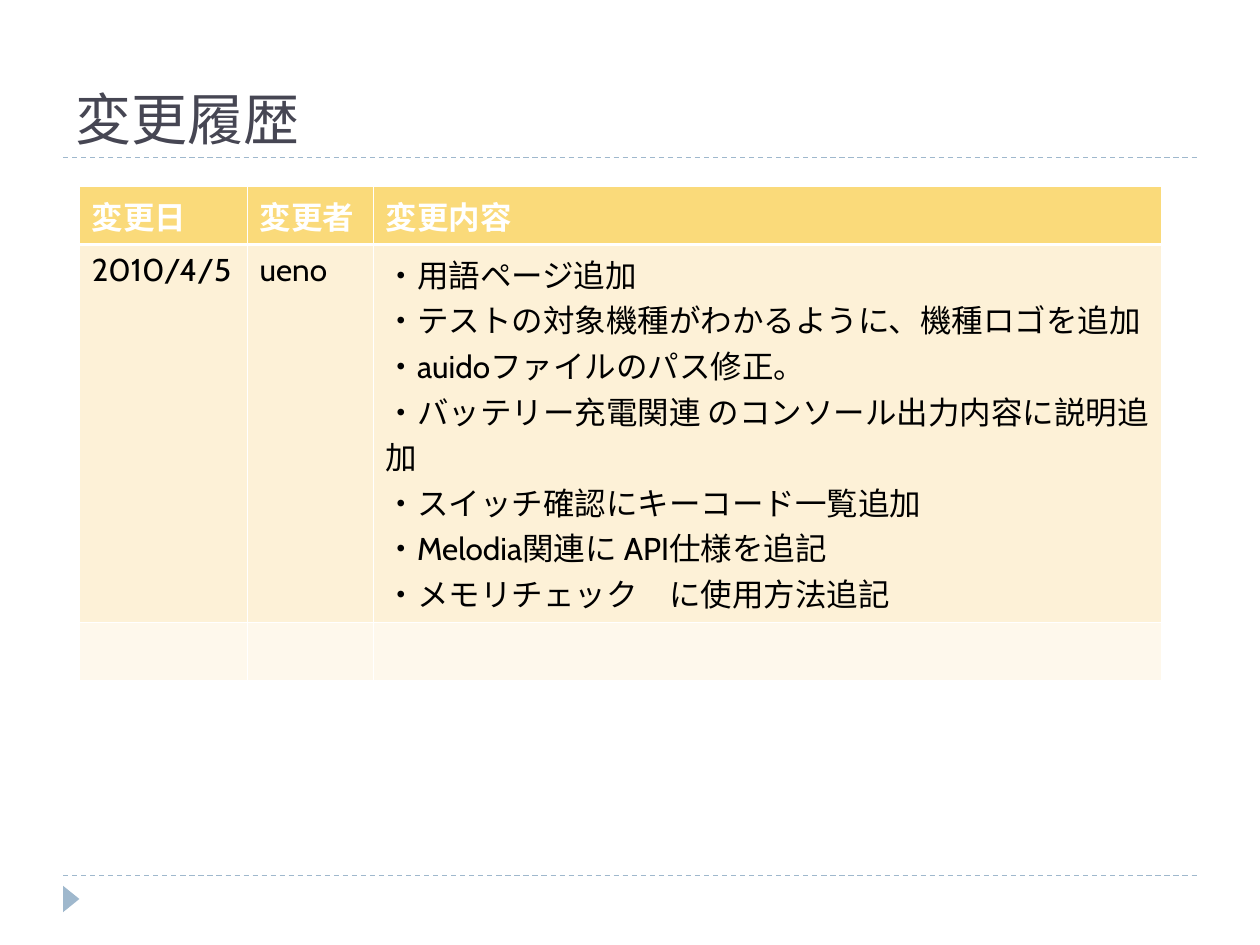
"""Build the change history slide."""
from dataclasses import dataclass

from lxml.etree import SubElement
from pptx import Presentation
from pptx.dml.color import RGBColor
from pptx.enum.dml import MSO_LINE_DASH_STYLE as Dash
from pptx.enum.shapes import MSO_CONNECTOR as Connector, MSO_SHAPE as Preset
from pptx.enum.text import MSO_ANCHOR as Anchor
from pptx.oxml.ns import qn
from pptx.util import Emu, Inches, Pt

WIDTH, HEIGHT = Inches(10), Inches(7.5)
COLUMNS, ROWS = 10, 7.5
ACCENT, INK, WHITE, BLACK = "9FB8CD", "464653", "FFFFFF", "000000"
TITLE_FONT, BODY_FONT = "TeX Gyre Bonum", "Cabin"
THIN, THICK = 0.45, 1.47


@dataclass(frozen=True)
class Area:
    """A box measured in grid columns and rows."""

    column: float
    row: float
    columns: float
    rows: float

    def lengths(self) -> tuple[Emu, Emu, Emu, Emu]:
        """Return left, top, width and height."""
        return across(self.column), down(self.row), across(self.columns), down(self.rows)


@dataclass(frozen=True)
class TextStyle:
    """The look of a run."""

    font: str
    size: float
    color: str
    bold: bool = False


@dataclass(frozen=True)
class HistoryRow:
    """One table row, with a list of lines for each cell."""

    height: float
    fill: str
    style: TextStyle
    cells: tuple[tuple[str, ...], ...]


HEADER = TextStyle(BODY_FONT, 18, WHITE, True)
BODY = TextStyle(BODY_FONT, 18, BLACK)
CHANGES = (
    "・用語ページ追加",
    "・テストの対象機種がわかるように、機種ロゴを追加",
    "・auidoファイルのパス修正。",
    "・バッテリー充電関連 のコンソール出力内容に説明追加",
    "・スイッチ確認にキーコード一覧追加",
    "・Melodia関連に API仕様を追記",
    "・メモリチェック　に使用方法追記",
)
HISTORY = (
    HistoryRow(0.46, "FADA7A", HEADER, (("変更日",), ("変更者",), ("変更内容",))),
    HistoryRow(3, "FDF1D7", BODY, (("2010/4/5",), ("ueno",), CHANGES)),
    HistoryRow(0.46, "FEF8EC", BODY, ((), (), ())),
)
TABLE_COLUMNS = (1.33, 1, 6.26)


def across(columns: float) -> Emu:
    """Turn grid columns into a length."""
    return Emu(round(WIDTH * columns / COLUMNS))


def down(rows: float) -> Emu:
    """Turn grid rows into a length."""
    return Emu(round(HEIGHT * rows / ROWS))


def color(value: str) -> RGBColor:
    """Turn a hex string into a colour."""
    return RGBColor.from_string(value)


def write(text_frame, lines: tuple[str, ...], style: TextStyle) -> None:
    """Write each line as a paragraph of one run."""
    for index, line in enumerate(lines):
        paragraph = text_frame.add_paragraph() if index else text_frame.paragraphs[0]
        run = paragraph.add_run()
        run.text = line
        run.font.name = style.font
        run.font.size = Pt(style.size)
        run.font.bold = style.bold
        run.font.color.rgb = color(style.color)


def add_rule(slide, row: float) -> None:
    """Draw a dashed rule between the side margins."""
    rule = slide.shapes.add_connector(
        Connector.STRAIGHT, across(0.5), down(row), across(9.5), down(row))
    rule.line.color.rgb = color(ACCENT)
    rule.line.width = Pt(0.75)
    rule.line.dash_style = Dash.DASH
    SubElement(rule._element.spPr, qn("a:effectLst"))


def add_marker(slide, area: Area) -> None:
    """Draw the triangle that points right."""
    marker = slide.shapes.add_shape(Preset.ISOSCELES_TRIANGLE, *area.lengths())
    marker.rotation = 90
    marker.shadow.inherit = False
    marker.fill.solid()
    marker.fill.fore_color.rgb = color(ACCENT)
    marker.line.fill.background()


def add_title(slide, area: Area, title: str) -> None:
    """Add the title, resting on the bottom of its box."""
    text_frame = slide.shapes.add_textbox(*area.lengths()).text_frame
    text_frame.word_wrap = True
    text_frame.vertical_anchor = Anchor.BOTTOM
    write(text_frame, (title,), TextStyle(TITLE_FONT, 32, INK))


def set_borders(cell, top: float, bottom: float) -> None:
    """Give a cell white borders, placed ahead of its fill."""
    properties = cell._tc.get_or_add_tcPr()
    widths = {"a:lnL": THIN, "a:lnR": THIN, "a:lnT": top, "a:lnB": bottom}
    for position, (tag, width) in enumerate(widths.items()):
        border = SubElement(properties, qn(tag), w=str(Pt(width)))
        fill = SubElement(border, qn("a:solidFill"))
        SubElement(fill, qn("a:srgbClr"), val=WHITE)
        properties.insert(position, border)


def add_history(slide, column: float, row: float) -> None:
    """Add the table of changes."""
    area = Area(column, row, sum(TABLE_COLUMNS), sum(entry.height for entry in HISTORY))
    table = slide.shapes.add_table(
        len(HISTORY), len(TABLE_COLUMNS), *area.lengths()).table
    for table_column, width in zip(table.columns, TABLE_COLUMNS):
        table_column.width = across(width)
    for index, entry in enumerate(HISTORY):
        table.rows[index].height = down(entry.height)
        top = THICK if index == 1 else THIN
        bottom = THICK if index == 0 else THIN
        for cell, lines in zip(table.rows[index].cells, entry.cells):
            cell.fill.solid()
            cell.fill.fore_color.rgb = color(entry.fill)
            set_borders(cell, top, bottom)
            write(cell.text_frame, lines, entry.style)


def main() -> None:
    """Build and save the presentation."""
    presentation = Presentation()
    presentation.slide_width, presentation.slide_height = WIDTH, HEIGHT
    slide = presentation.slides.add_slide(presentation.slide_layouts[6])
    for row in (6.95, 1.25):
        add_rule(slide, row)
    add_marker(slide, Area(0.46, 7.07, 0.21, 0.13))
    add_title(slide, Area(0.5, 0.17, 9, 1.08), "変更履歴")
    add_history(slide, 0.63, 1.48)
    presentation.save("out.pptx")


if __name__ == "__main__":
    main()
